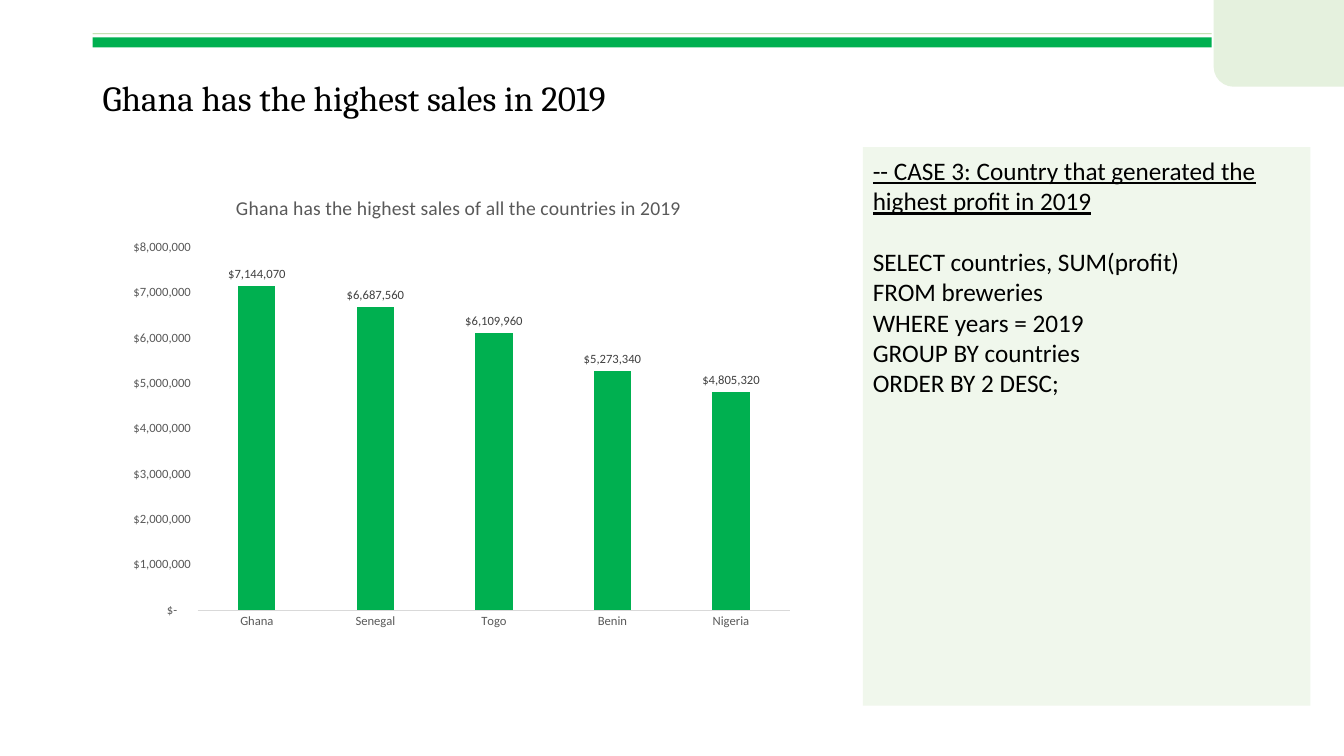
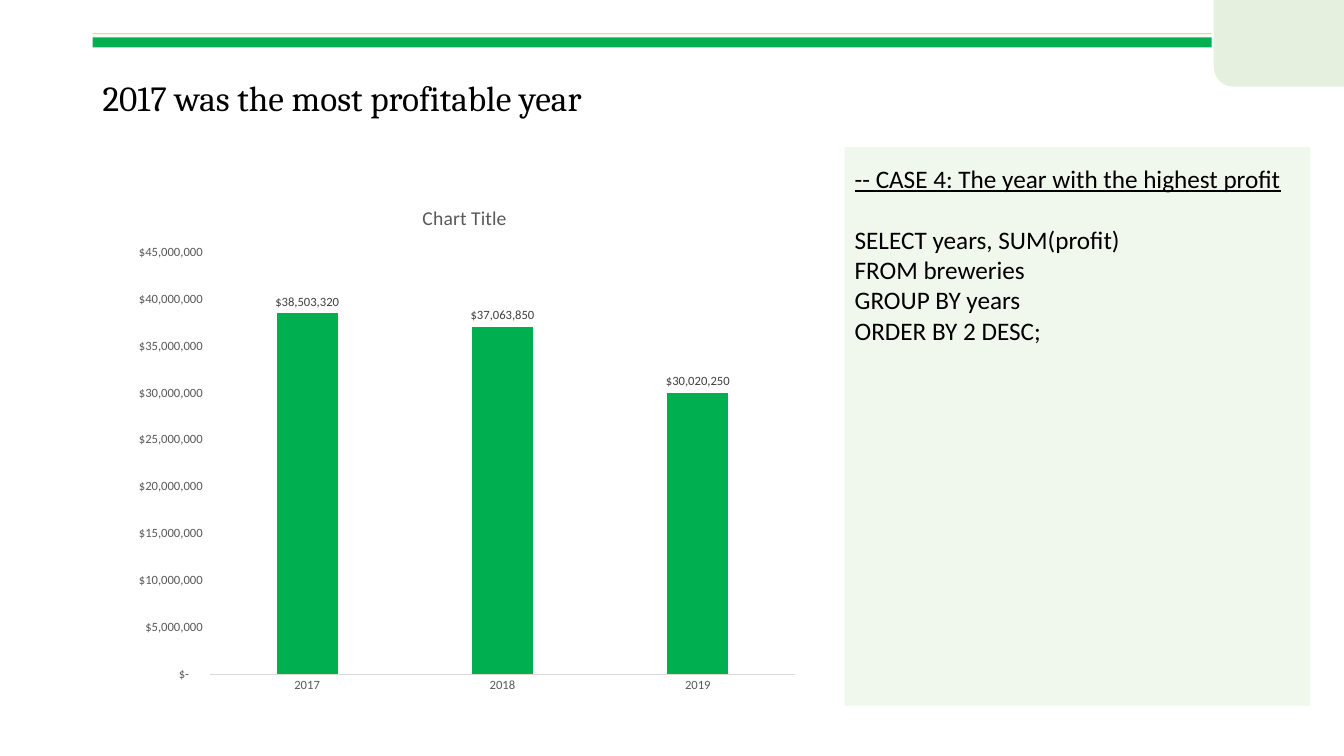
from lxml.etree import SubElement
from pptx import Presentation
from pptx.chart.data import CategoryChartData
from pptx.dml.color import RGBColor
from pptx.enum.chart import XL_CHART_TYPE, XL_LABEL_POSITION, XL_TICK_MARK
from pptx.enum.shapes import MSO_SHAPE
from pptx.enum.text import MSO_ANCHOR, MSO_AUTO_SIZE
from pptx.oxml import parse_xml
from pptx.oxml.ns import nsdecls, qn
from pptx.util import Inches, Pt

COLORS = {
    "green": "00B050",
    "hairline": "A9D18E",
    "pale": "C5E0B4",
    "ink": "000000",
    "axis": "595959",
    "label": "404040",
    "rule": "D9D9D9",
}
DOLLARS = r'_("$"* #,##0_);_("$"* \(#,##0\);_("$"* "-"??_);_(@_)'
MARGIN, RIGHT = 6.9, 97.5
PANEL_TOP, PANEL_HEIGHT = 19.47, 73.87


def color(name):
    return RGBColor.from_string(COLORS[name])


class Deck:
    def __init__(self):
        self.file = Presentation()
        self.file.slide_width = Inches(13.333)
        self.file.slide_height = Inches(7.5)
        self.slide = None

    def area(self, left, top, width, height):
        column = self.file.slide_width / 100
        row = self.file.slide_height / 100
        return [int(v) for v in (left * column, top * row, width * column, height * row)]

    def style(self, font, size, ink="ink", family="Calibri"):
        font.name, font.size, font.bold = family, Pt(size), False
        font.color.rgb = color(ink)

    def block(self, area, fill, opacity=100, preset=MSO_SHAPE.RECTANGLE):
        block = self.slide.shapes.add_shape(preset, *self.area(*area))
        block.shadow.inherit = False
        block.line.fill.background()
        block.fill.solid()
        block.fill.fore_color.rgb = color(fill)
        if opacity < 100:
            tint = block.fill._xPr.find(".//" + qn("a:srgbClr"))
            SubElement(tint, qn("a:alpha")).set("val", str(opacity * 1000))
        return block

    def text(self, area, lines, size, family="Calibri"):
        box = self.slide.shapes.add_textbox(*self.area(*area))
        frame = box.text_frame
        frame.word_wrap = True
        frame.text = "\n".join(lines)
        for paragraph in frame.paragraphs:
            self.style(paragraph.font, size, family=family)
        return frame

    def page(self, title):
        self.slide = self.file.slides.add_slide(self.file.slide_layouts[6])
        self.block((MARGIN, 4.93, 83.25, 1.33), "green")
        self.block((MARGIN, 4.4, 83.25, 0.13), "hairline")
        corner = self.block((90.3, 0, 9.7, 11.47), "pale", 43, MSO_SHAPE.ROUND_1_RECTANGLE)
        corner.rotation = 180
        corner.adjustments[0] = 0.23
        heading = self.text((MARGIN, 9.87, 79.95, 6.67), [title], 25.2, "Cambria")
        heading.vertical_anchor = MSO_ANCHOR.MIDDLE
        heading.paragraphs[0].line_spacing = 0.9

    def query(self, left, top, height, case, statement):
        width = RIGHT - left
        self.block((left, PANEL_TOP, width, PANEL_HEIGHT), "pale", 25)
        frame = self.text((left, top, width, height), [case, *statement], 18)
        frame.auto_size = MSO_AUTO_SIZE.SHAPE_TO_FIT_TEXT
        frame.paragraphs[0].font.underline = True
        frame.paragraphs[0].space_after = Pt(22)

    def columns(self, area, title, values, top_value, step, plot):
        data = CategoryChartData(number_format=DOLLARS)
        data.categories = list(values)
        data.add_series("Series 1", list(values.values()))
        chart = self.slide.shapes.add_chart(
            XL_CHART_TYPE.COLUMN_CLUSTERED, *self.area(*area), data).chart
        self.style(chart.font, 10)
        chart.has_legend = False
        chart.has_title = True
        chart.chart_title.text_frame.text = title
        self.style(chart.chart_title.text_frame.paragraphs[0].font, 14, "axis")
        chart.chart_title.include_in_layout = False

        for axis in (chart.category_axis, chart.value_axis):
            axis.has_major_gridlines = False
            axis.major_tick_mark = axis.minor_tick_mark = XL_TICK_MARK.NONE
            self.style(axis.tick_labels.font, 9, "axis")
        baseline = chart.category_axis.format.line
        baseline.color.rgb = color("rule")
        baseline.width = Pt(0.75)
        scale = chart.value_axis
        scale.format.line.fill.background()
        scale.minimum_scale, scale.maximum_scale, scale.major_unit = 0, top_value, step
        scale.tick_labels.number_format = DOLLARS
        scale.tick_labels.number_format_is_linked = False

        bars = chart.plots[0]
        bars.gap_width, bars.overlap, bars.vary_by_categories = 219, -27, False
        fill = bars.series[0].format.fill
        fill.solid()
        fill.fore_color.rgb = color("green")
        bars.has_data_labels = True
        labels = bars.data_labels
        labels.show_value = True
        labels.position = XL_LABEL_POSITION.OUTSIDE_END
        labels.number_format = DOLLARS
        labels.number_format_is_linked = False
        self.style(labels.font, 9, "label")
        self.place_plot(chart, plot)

    def place_plot(self, chart, plot):
        plot_area = chart._chartSpace.find(".//" + qn("c:plotArea"))
        for layout in plot_area.findall(qn("c:layout")):
            plot_area.remove(layout)
        sides = "".join(f'<c:{side} val="{share}"/>' for side, share in zip("xywh", plot))
        plot_area.insert(0, parse_xml(
            f'<c:layout {nsdecls("c")}><c:manualLayout><c:layoutTarget val="inner"/>'
            f'<c:xMode val="edge"/><c:yMode val="edge"/>{sides}</c:manualLayout></c:layout>'))


deck = Deck()

deck.page("Ghana has the highest sales in 2019")
deck.columns(
    (7.88, 23.2, 52.5, 63.2),
    "Ghana has the highest sales of all the countries in 2019",
    {"Ghana": 7144070, "Senegal": 6687560, "Togo": 6109960,
     "Benin": 5273340, "Nigeria": 4805320},
    8000000, 1000000, (0.13, 0.15, 0.84, 0.76))
deck.query(
    64.2, 19.87, 33.6, "-- CASE 3: Country that generated the highest profit in 2019",
    ["SELECT countries, SUM(profit)", "FROM breweries", "WHERE years = 2019",
     "GROUP BY countries", "ORDER BY 2 DESC;"])

deck.page("2017 was the most profitable year")
deck.columns(
    (8.92, 24.4, 51.3, 68.93), "Chart Title",
    {"2017": 38503320, "2018": 37063850, "2019": 30020250},
    45000000, 5000000, (0.13, 0.13, 0.85, 0.81))
deck.query(
    62.85, 20.93, 25.6, "-- CASE 4: The year with the highest profit",
    ["SELECT years, SUM(profit)", "FROM breweries", "GROUP BY years", "ORDER BY 2 DESC;"])

deck.file.save("out.pptx")
